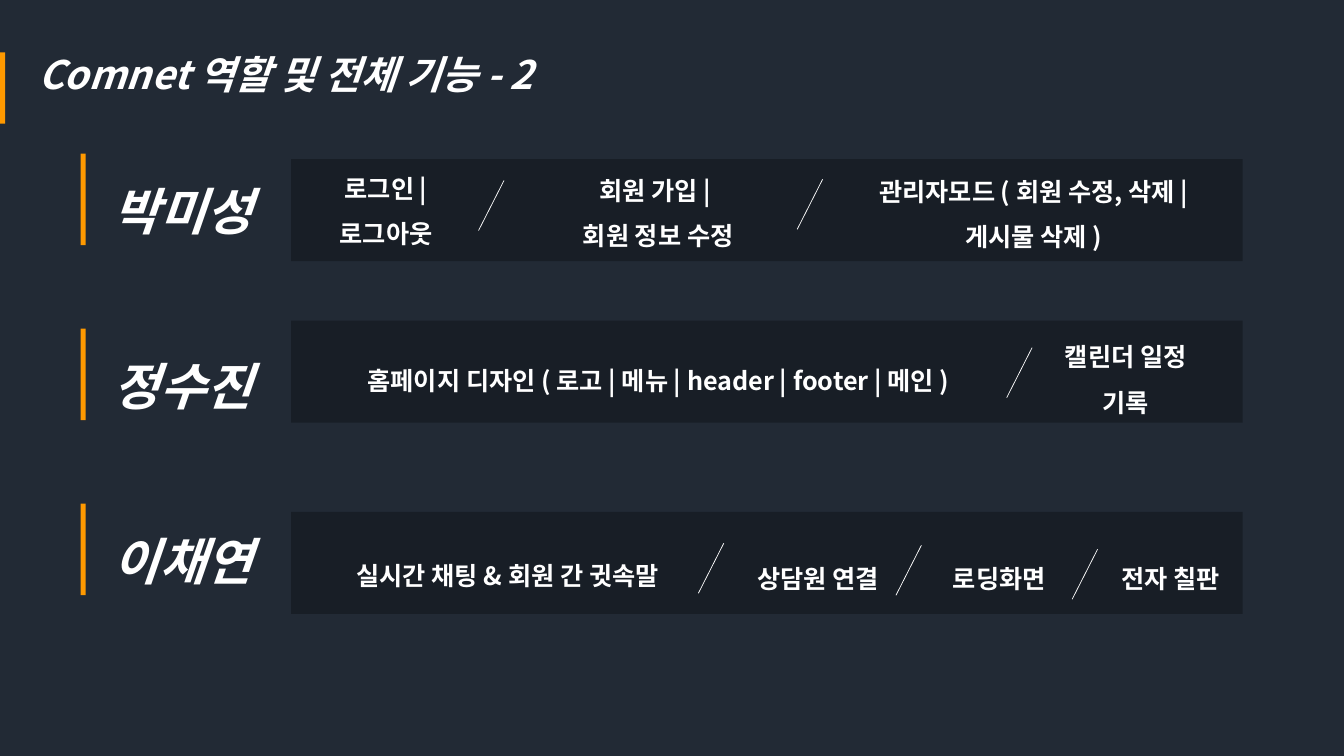
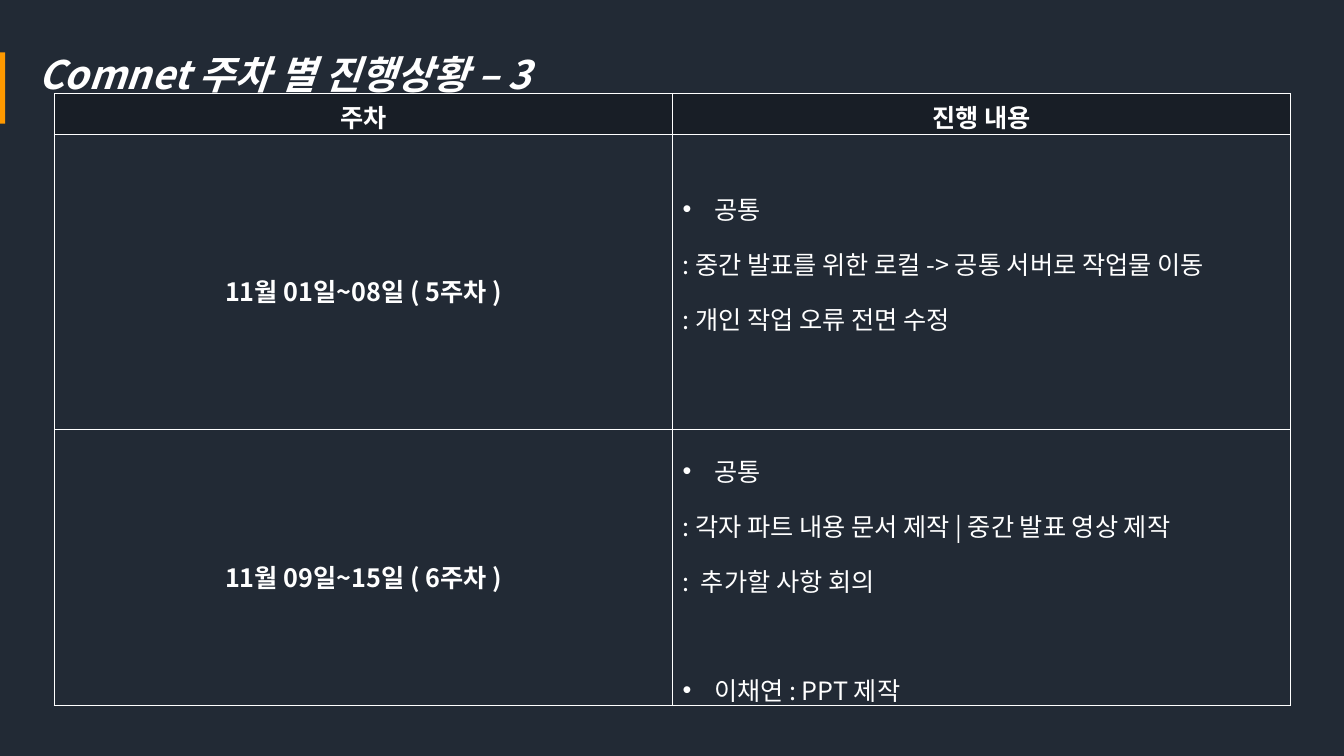
import dataclasses

import lxml.etree
import pptx
import pptx.dml.color
import pptx.enum.shapes
import pptx.enum.text
import pptx.oxml
import pptx.oxml.ns
import pptx.util

Cm = pptx.util.Cm
Pt = pptx.util.Pt
qn = pptx.oxml.ns.qn
ALIGN = pptx.enum.text.PP_ALIGN
MIDDLE = pptx.enum.text.MSO_ANCHOR.MIDDLE


@dataclasses.dataclass(frozen=True)
class Theme:
    background: str = "222A35"
    panel: str = "181E26"
    accent: str = "FF9900"
    ink: str = "FFFFFF"
    font: str = "Noto Sans CJK KR"
    title: int = 28
    name: int = 36
    body: int = 18
    spacing: float = 1.5


THEME = Theme()

ROLES_TITLE = "Comnet 역할 및 전체 기능 - 2"
ROLES = [
    {
        "name": "박미성",
        "panel_top": 4.01,
        "tasks": [
            (["로그인 | 로그아웃"], (7.95, 3.86, 3.56, 2.41), True),
            (["회원 가입 | ", "회원 정보 수정"], (13.79, 3.91, 5.59, 2.41), True),
            (["관리자모드 ( 회원 수정, 삭제 | 게시물 삭제 )"],
             (21.44, 3.94, 9.22, 2.41), True),
        ],
        "slashes": [(12.7, 4.55), (20.73, 4.52)],
    },
    {
        "name": "정수진",
        "panel_top": 8.08,
        "tasks": [
            (["홈페이지 디자인 ( 로고 | 메뉴 | header | footer | 메인 )"],
             (8.2, 8.71, 16.79, 1.27), False),
            (["캘린더 일정 기록"], (26.39, 8.1, 3.96, 2.41), True),
        ],
        "slashes": [(26.01, 8.76)],
    },
    {
        "name": "이채연",
        "panel_top": 12.9,
        "tasks": [
            (["실시간 채팅 & 회원 간 귓속말 "], (8.13, 13.61, 9.47, 1.27), False),
            (["상담원 연결"], (18.01, 13.69, 5.21, 1.27), True),
            (["로딩화면"], (22.58, 13.69, 5.21, 1.27), True),
            (["전자 칠판"], (26.9, 13.69, 5.21, 1.27), True),
        ],
        "slashes": [(18.24, 13.69), (23.22, 13.74), (27.66, 13.84)],
    },
]
NAME_TOP, NAME_STEP = 3.66, 4.41
SLASH_WIDTH, SLASH_HEIGHT = 0.64, 1.26

PROGRESS_TITLE = "Comnet 주차 별 진행상황 – 3"
PROGRESS_HEAD = ["주차", "진행 내용"]
PROGRESS = [
    {
        "week": "11월 01일~08일 ( 5주차 )",
        "height": 7.44,
        "bottom": 1.5,
        "groups": [
            ("공통", [": 중간 발표를 위한 로컬 -> 공통 서버로 작업물 이동",
                    ": 개인 작업 오류 전면 수정"]),
        ],
    },
    {
        "week": "11월 09일~15일 ( 6주차 )",
        "height": 6.96,
        "bottom": 0.13,
        "groups": [
            ("공통", [": 각자 파트 내용 문서 제작 | 중간 발표 영상 제작",
                    ":  추가할 사항 회의"]),
            ("이채연 : PPT 제작", []),
        ],
    },
]
TABLE_LEFT, TABLE_TOP, COLUMN_WIDTH, HEAD_HEIGHT = 1.37, 2.36, 15.58, 1.02
GROUP_GAP = 39


def rgb(value):
    return pptx.dml.color.RGBColor.from_string(value)


def add_run(p, text, size, bold=True, italic=False):
    r = p.add_run()
    r.text = text
    r.font.name = THEME.font
    r.font.size = Pt(size)
    r.font.bold = bold
    r.font.italic = italic
    r.font.color.rgb = rgb(THEME.ink)
    east = lxml.etree.SubElement(r.font._element, qn("a:ea"))
    east.set("typeface", THEME.font)


def paragraph(tf, index):
    return tf.add_paragraph() if index else tf.paragraphs[0]


def add_text(slide, lines, box, size, align=ALIGN.LEFT, italic=False, wrap=True):
    sp = slide.shapes.add_textbox(*map(Cm, box))
    tf = sp.text_frame
    tf.word_wrap = wrap
    tf.auto_size = pptx.enum.text.MSO_AUTO_SIZE.SHAPE_TO_FIT_TEXT
    for i, line in enumerate(lines):
        p = paragraph(tf, i)
        p.alignment = align
        p.line_spacing = THEME.spacing
        add_run(p, line, size, italic=italic)


def add_rect(slide, box, color):
    shape = pptx.enum.shapes.MSO_SHAPE.RECTANGLE
    sp = slide.shapes.add_shape(shape, *map(Cm, box))
    sp.shadow.inherit = False
    sp.fill.solid()
    sp.fill.fore_color.rgb = rgb(color)
    sp.line.fill.background()


def add_slash(slide, x, y):
    line = slide.shapes.add_connector(
        pptx.enum.shapes.MSO_CONNECTOR.STRAIGHT,
        Cm(x), Cm(y), Cm(x - SLASH_WIDTH), Cm(y + SLASH_HEIGHT))
    line.line.color.rgb = rgb(THEME.ink)
    line.line.width = Pt(0.5)
    lxml.etree.SubElement(line._element.spPr, qn("a:effectLst"))


def add_page(prs, title):
    slide = prs.slides.add_slide(prs.slide_layouts[6])
    slide.background.fill.solid()
    slide.background.fill.fore_color.rgb = rgb(THEME.background)
    add_text(slide, [title], (0.71, 0.56, 15.32, 1.83), THEME.title, italic=True)
    add_rect(slide, (0, 1.32, 0.13, 1.8), THEME.accent)
    return slide


def build_roles(prs):
    slide = add_page(prs, ROLES_TITLE)
    for i, role in enumerate(ROLES):
        top = NAME_TOP + i * NAME_STEP
        add_rect(slide, (7.34, role["panel_top"], 23.98, 2.57), THEME.panel)
        add_rect(slide, (2.03, top + 0.21, 0.13, 2.31), THEME.accent)
        add_text(slide, [role["name"]], (2.59, top, 4.45, 2.26), THEME.name,
                 italic=True)
        for lines, box, wrap in role["tasks"]:
            add_text(slide, lines, box, THEME.body, ALIGN.CENTER, wrap=wrap)
        for x, y in role["slashes"]:
            add_slash(slide, x, y)


def set_borders(cell):
    tcPr = cell._tc.get_or_add_tcPr()
    for i, side in enumerate(("lnL", "lnR", "lnT", "lnB")):
        ln = lxml.etree.Element(qn("a:" + side), w=str(Pt(1)))
        fill = lxml.etree.SubElement(ln, qn("a:solidFill"))
        lxml.etree.SubElement(fill, qn("a:srgbClr"), val=THEME.ink)
        tcPr.insert(i, ln)


def add_bullet(p):
    pPr = p._p.get_or_add_pPr()
    pPr.set("marL", str(Cm(0.79)))
    pPr.set("indent", str(-Cm(0.79)))
    lxml.etree.SubElement(pPr, qn("a:buFont"), typeface="Arial")
    lxml.etree.SubElement(pPr, qn("a:buChar"), char="•")


def fill_centred(cell, text, spacing=None):
    p = cell.text_frame.paragraphs[0]
    p.alignment = ALIGN.CENTER
    p.line_spacing = spacing
    add_run(p, text, THEME.body)


def fill_groups(cell, groups):
    lines = [(text, i == 0, g > 0 and i == 0)
             for g, (head, notes) in enumerate(groups)
             for i, text in enumerate([head, *notes])]
    for i, (text, bulleted, gap) in enumerate(lines):
        p = paragraph(cell.text_frame, i)
        if bulleted:
            add_bullet(p)
        p.line_spacing = THEME.spacing
        if gap:
            p.space_before = Pt(GROUP_GAP)
        add_run(p, text, THEME.body, bold=False)


def build_progress(prs):
    slide = add_page(prs, PROGRESS_TITLE)
    heights = [HEAD_HEIGHT] + [row["height"] for row in PROGRESS]
    columns = len(PROGRESS_HEAD)
    table = slide.shapes.add_table(
        len(heights), columns, Cm(TABLE_LEFT), Cm(TABLE_TOP),
        Cm(COLUMN_WIDTH * columns), Cm(sum(heights))).table
    table.first_row = False
    table.horz_banding = False
    for row, height in zip(table.rows, heights):
        row.height = Cm(height)
    for cell in table.iter_cells():
        cell.vertical_anchor = MIDDLE
        cell.fill.background()
        set_borders(cell)
    for c, text in enumerate(PROGRESS_HEAD):
        cell = table.cell(0, c)
        cell.fill.solid()
        cell.fill.fore_color.rgb = rgb(THEME.panel)
        fill_centred(cell, text)
    for i, row in enumerate(PROGRESS, 1):
        fill_centred(table.cell(i, 0), row["week"], THEME.spacing)
        cell = table.cell(i, 1)
        cell.margin_bottom = Cm(row["bottom"])
        fill_groups(cell, row["groups"])


def main():
    prs = pptx.Presentation()
    prs.slide_width = Cm(33.87)
    prs.slide_height = Cm(19.05)
    build_roles(prs)
    build_progress(prs)
    prs.save("out.pptx")


if __name__ == "__main__":
    main()
